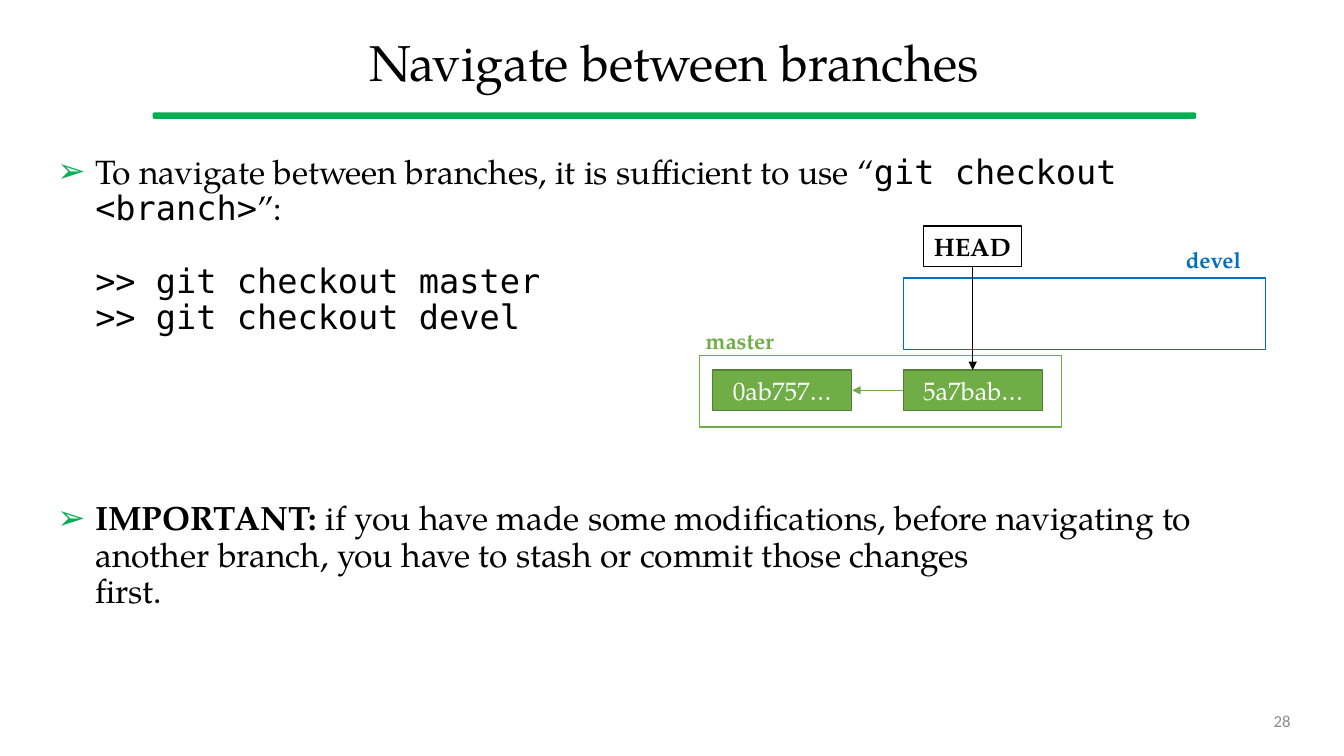
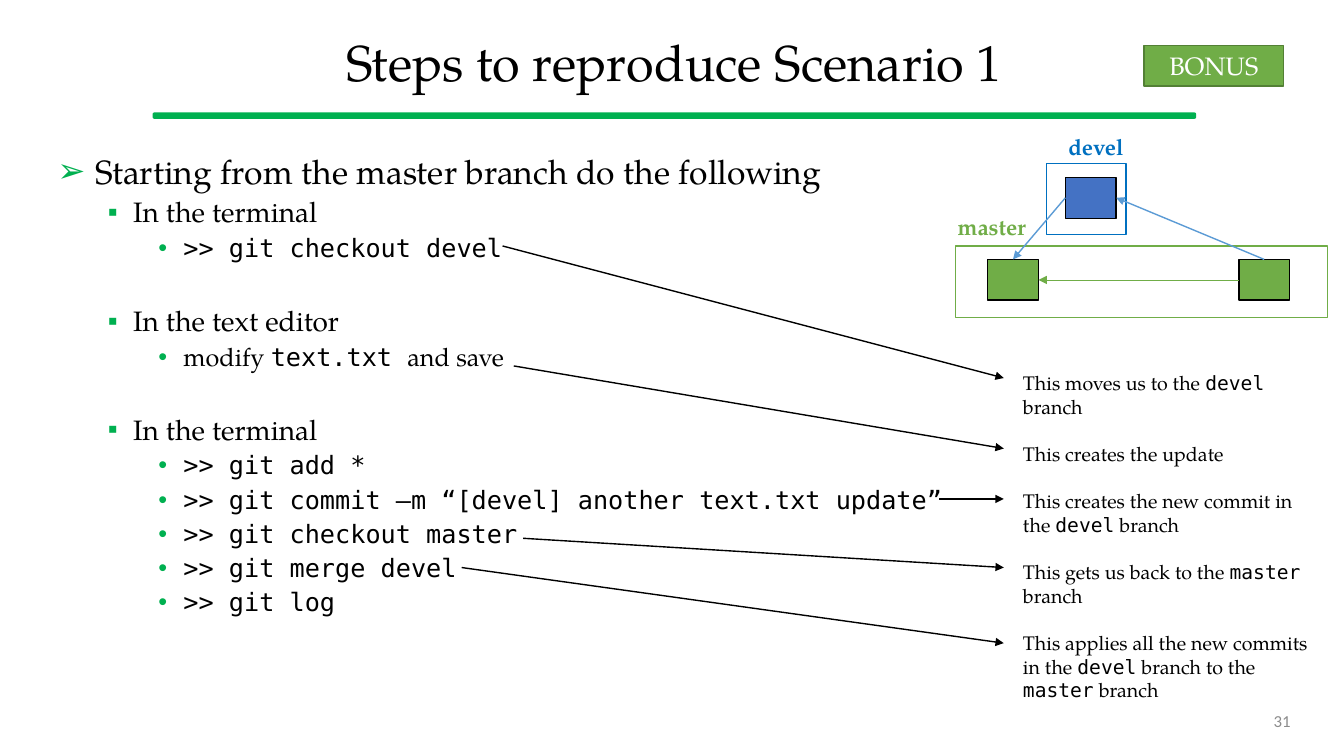
"""Build two slides on moving between git branches."""
from lxml import etree
from pptx import Presentation
from pptx.dml.color import RGBColor
from pptx.enum import shapes, text
from pptx.oxml import ns
from pptx.util import Pt

colour = RGBColor.from_string
BLACK, WHITE, GREY = "000000", "FFFFFF", "8C8C8C"
ACCENT, GREEN, DARK_GREEN = "00B050", "70AD47", "538035"
BLUE, NODE_BLUE, LIGHT_BLUE = "0070C0", "4472C4", "5B9BD5"
SERIF, MONO, SANS = "TeX Gyre Pagella", "DejaVu Sans Mono", "Calibri"

LEVELS = {
    "main": (0, 24, 27, -27, "➢"),
    "code": (0, 24, 27, 0, None),
    "sub": (1, 20, 54, -18, "▪"),
    "item": (2, 18, 90, -18, "•"),
}
NODE_W, NODE_H, SMALL_W, FRAME_H = 99.5, 29, 36.3, 51.1

PAGES = [
    {
        "title": "Navigate between branches",
        "number": "28",
        "body_width": 895,
        "body": [
            ("main", 0, "To navigate between branches, it is sufficient to use “`git checkout <branch>`”:"),
            ("code", 26, "`>> git checkout master`"),
            ("code", 0, "`>> git checkout devel`"),
            ("main", 118, "*IMPORTANT:* if you have made some modifications, before navigating to "
                          "another branch, you have to stash or commit those changes\vfirst."),
        ],
        "blocks": [
            (509, 264.3, NODE_W, NODE_H, GREEN, DARK_GREEN, "0ab757…"),
            (645.3, 264.3, NODE_W, NODE_H, GREEN, DARK_GREEN, "5a7bab…"),
            (659.5, 161.3, 70, NODE_H, WHITE, BLACK, "HEAD"),
            (499.7, 254, 258.5, FRAME_H, None, GREEN, ""),
            (645.3, 198.7, 258.5, FRAME_H, None, BLUE, ""),
        ],
        "labels": [(497, 230.4, 64, "master", GREEN), (840, 172, 55, "devel", BLUE)],
        "arrows": [
            (645.3, 278.8, 608.8, 278.8, GREEN, 0.5),
            (694.8, 190.5, 694.8, 264.3, BLACK, 1),
        ],
        "notes": [],
    },
    {
        "title": "Steps to reproduce Scenario 1",
        "number": "31",
        "body_width": 811,
        "body": [
            ("main", 0, "Starting from the master branch do the following"),
            ("sub", 5, "In the terminal"),
            ("item", 5, "`>> git checkout devel`"),
            ("sub", 31.6, "In the text editor"),
            ("item", 5, "modify `text.txt `and save"),
            ("sub", 31.6, "In the terminal"),
            ("item", 5, "`>> git add *`"),
            ("item", 5, "`>> git commit –m “[devel] another text.txt update”`"),
            ("item", 5, "`>> git checkout master`"),
            ("item", 5, "`>> git merge devel`"),
            ("item", 5, "`>> git log`"),
        ],
        "blocks": [
            (817.3, 32.4, NODE_W, NODE_H, GREEN, DARK_GREEN, "BONUS"),
            (705.5, 185.3, SMALL_W, NODE_H, GREEN, BLACK, ""),
            (885, 185.3, SMALL_W, NODE_H, GREEN, BLACK, ""),
            (761, 126.9, SMALL_W, NODE_H, NODE_BLUE, BLACK, ""),
            (682.6, 175.7, 265.5, FRAME_H, None, GREEN, ""),
            (747.4, 116.6, 57, FRAME_H, None, BLUE, ""),
        ],
        "labels": [(677, 149, 64, "master", GREEN), (756, 91.4, 55, "devel", BLUE)],
        "arrows": [
            (885, 200, 741.8, 200, GREEN, 0.5),
            (761, 141.3, 723.6, 185.3, LIGHT_BLUE, 1),
            (903, 185.3, 797.3, 141.3, LIGHT_BLUE, 1),
            (359, 175.7, 717, 270, BLACK, 1),
            (367, 261.4, 717, 320.4, BLACK, 1),
            (671, 356.4, 717, 356.4, BLACK, 1),
            (373.7, 384.5, 717, 405.4, BLACK, 1),
            (329.8, 405.4, 717, 459.4, BLACK, 1),
        ],
        "notes": [
            "This moves us to the `devel` branch",
            "This creates the update",
            "This creates the new commit in the `devel` branch",
            "This gets us back to the `master` branch",
            "This applies all the new commits in the `devel` branch to the `master` branch",
        ],
    },
]


def write(para, words, size, ink=BLACK, font=SERIF):
    """Add text where backticks mark code and asterisks around a start mark bold."""
    bold = words.startswith("*")
    pieces = words[1:].split("*", 1) if bold else [words]
    for index, piece in enumerate(pieces):
        for part, phrase in enumerate(piece.split("`")):
            for row, line in enumerate(phrase.split("\v")):
                if row:
                    para.add_line_break()
                if line:
                    span = para.add_run()
                    span.text = line
                    span.font.name = MONO if part % 2 else font
                    span.font.size = Pt(size)
                    span.font.bold = bold and index == 0
                    span.font.color.rgb = colour(ink)


def add_frame(page, left, top, width, height, wrap=True):
    """Add a text box and return its text frame."""
    box = page.shapes.add_textbox(Pt(left), Pt(top), Pt(width), Pt(height))
    box.text_frame.word_wrap = wrap
    return box.text_frame


deck = Presentation()
deck.slide_width, deck.slide_height = Pt(960), Pt(540)

for content in PAGES:
    page = deck.slides.add_slide(deck.slide_layouts[5])

    band = page.shapes.add_shape(shapes.MSO_SHAPE.ROUNDED_RECTANGLE, Pt(109.5), Pt(80.8), Pt(744.5), Pt(3.6))
    band.adjustments[0] = 0.26
    band.shadow.inherit = False
    band.fill.solid()
    band.fill.fore_color.rgb = colour(ACCENT)
    band.line.color.rgb = colour(ACCENT)
    band.line.width = Pt(1)

    title = page.shapes.title
    title.left, title.top, title.width, title.height = Pt(34), Pt(13), Pt(895), Pt(67.7)
    title.text_frame.auto_size = text.MSO_AUTO_SIZE.NONE
    title.text_frame.vertical_anchor = text.MSO_ANCHOR.MIDDLE
    heading = title.text_frame.paragraphs[0]
    heading.alignment = text.PP_ALIGN.CENTER
    heading.line_spacing = 0.9
    write(heading, content["title"], 36)

    body = add_frame(page, 34, 107.3, content["body_width"], 400)
    for index, (kind, gap, words) in enumerate(content["body"]):
        level, size, margin, indent, bullet = LEVELS[kind]
        para = body.add_paragraph() if index else body.paragraphs[0]
        para.level = level
        para.line_spacing = 0.9
        para.space_before = Pt(gap)
        props = para._p.get_or_add_pPr()
        props.set("marL", str(Pt(margin)))
        props.set("indent", str(Pt(indent)))
        if bullet:
            tint = etree.SubElement(props, ns.qn("a:buClr"))
            etree.SubElement(tint, ns.qn("a:srgbClr")).set("val", ACCENT)
            etree.SubElement(props, ns.qn("a:buFont")).set("typeface", "Arial")
            etree.SubElement(props, ns.qn("a:buChar")).set("char", bullet)
        write(para, words, size)

    for left, top, width, height, fill, outline, words in content["blocks"]:
        block = page.shapes.add_shape(shapes.MSO_SHAPE.RECTANGLE, Pt(left), Pt(top), Pt(width), Pt(height))
        block.shadow.inherit = False
        block.line.color.rgb = colour(outline)
        block.line.width = Pt(1)
        if fill:
            block.fill.solid()
            block.fill.fore_color.rgb = colour(fill)
        else:
            block.fill.background()
        if words:
            block.text_frame.word_wrap = False
            block.text_frame.vertical_anchor = text.MSO_ANCHOR.MIDDLE
            para = block.text_frame.paragraphs[0]
            para.alignment = text.PP_ALIGN.CENTER
            write(para, words, 18, BLACK if fill == WHITE else WHITE)
            para.runs[0].font.bold = fill == WHITE

    for left, top, width, words, ink in content["labels"]:
        label = add_frame(page, left, top, width, 26.6, wrap=False)
        write(label.paragraphs[0], words, 16, ink)
        label.paragraphs[0].runs[0].font.bold = True

    for x1, y1, x2, y2, ink, weight in content["arrows"]:
        arrow = page.shapes.add_connector(shapes.MSO_CONNECTOR.STRAIGHT, Pt(x1), Pt(y1), Pt(x2), Pt(y2))
        arrow.line.color.rgb = colour(ink)
        arrow.line.width = Pt(weight)
        etree.SubElement(arrow.line._get_or_add_ln(), ns.qn("a:tailEnd")).set("type", "triangle")
        etree.SubElement(arrow._element.spPr, ns.qn("a:effectLst"))

    if content["notes"]:
        remarks = add_frame(page, 723.6, 261.4, 228, 245)
        for index, words in enumerate(content["notes"]):
            para = remarks.add_paragraph() if index else remarks.paragraphs[0]
            para.space_before = Pt(17 if index else 0)
            write(para, words, 14)

    footer = add_frame(page, 678, 500.5, 251, 28.8)
    footer.vertical_anchor = text.MSO_ANCHOR.MIDDLE
    footer.paragraphs[0].alignment = text.PP_ALIGN.RIGHT
    write(footer.paragraphs[0], content["number"], 12, GREY, SANS)

deck.save("out.pptx")
